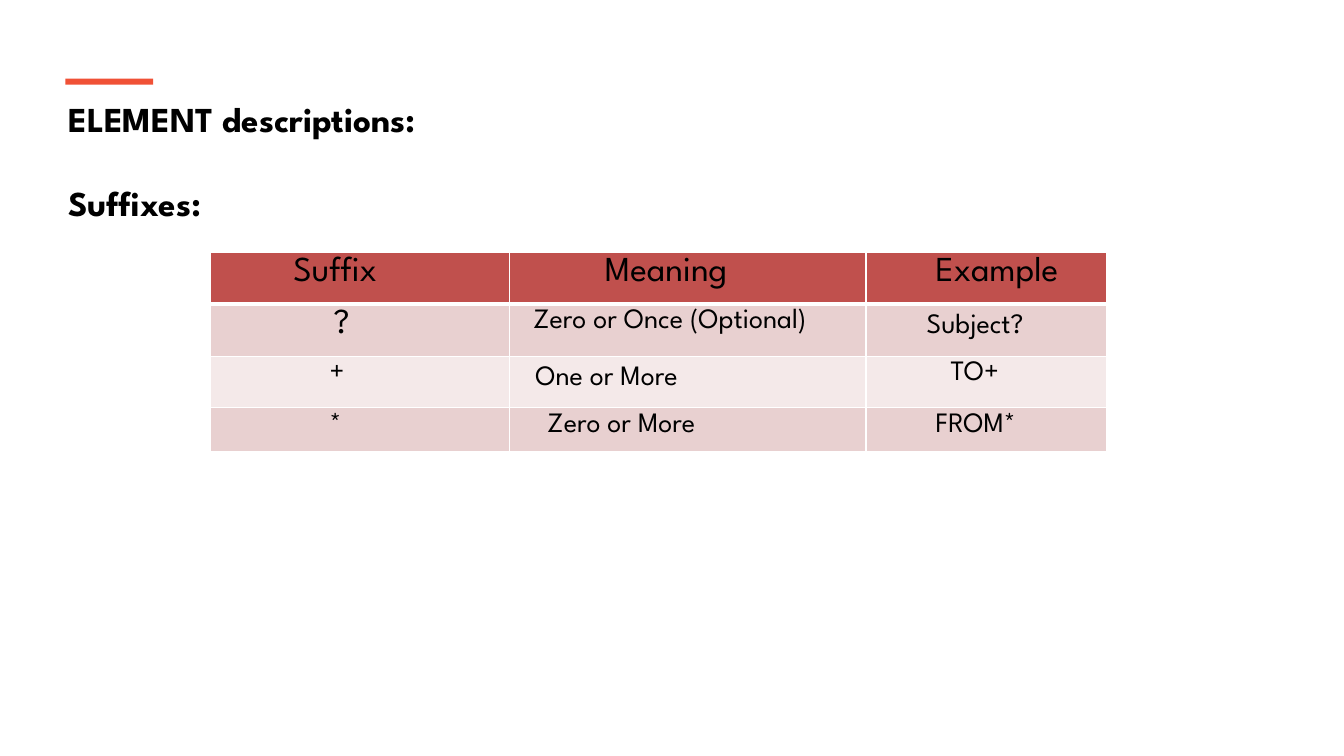
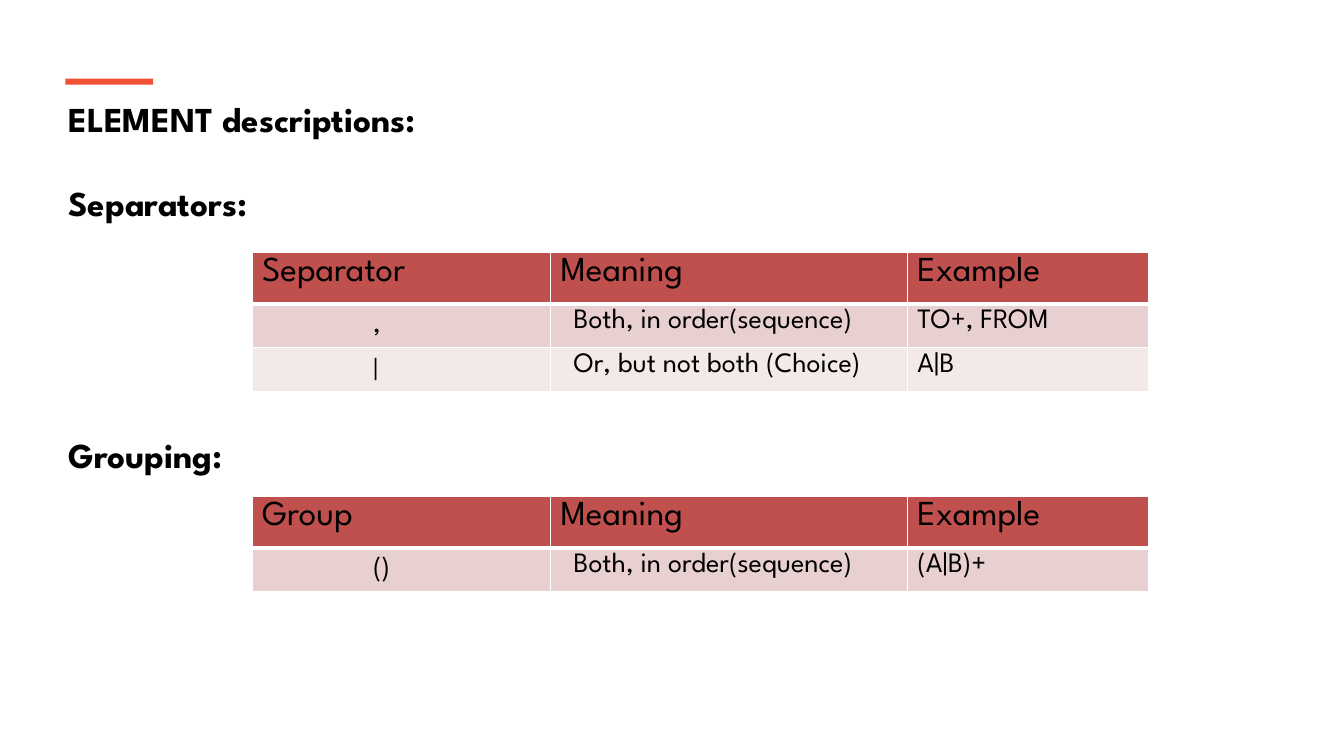
"""Build two slides on ELEMENT descriptions with suffix, separator and grouping tables."""
from collections import namedtuple

from lxml import etree
from pptx import Presentation
from pptx.dml.color import RGBColor
from pptx.enum.shapes import MSO_SHAPE
from pptx.oxml.ns import qn
from pptx.util import Inches, Pt

RECTANGLE = MSO_SHAPE.RECTANGLE
COLORS = {
    "text": "000000",
    "accent": "F05136",
    "header": "C0504D",
    "odd": "E8D0D0",
    "even": "F4E9E9",
    "border": "FFFFFF",
}
FONT = "League Spartan"
HEADING_SIZE, BODY_SIZE = 25, 20
TITLE = "ELEMENT descriptions:"
TITLE_TOP, SUBTITLE_TOP, GROUPING_TOP = 0.92, 1.75, 4.25
COLUMN_WIDTHS = (2.96, 3.54, 2.39)
TALL_ROW, SHORT_ROW = 0.51, 0.43
SIDE_MARGIN, EDGE_MARGIN = 0.1, 0.05
THIN, THICK = 1, 3

Entry = namedtuple("Entry", "text indent drop size font", defaults=(0, 0, BODY_SIZE, FONT))
Section = namedtuple("Section", "heading heading_top left top row_heights header rows")

SLIDES = [
    [
        Section(
            "Suffixes:", SUBTITLE_TOP, 2.09, 2.5,
            (TALL_ROW, TALL_ROW, TALL_ROW, SHORT_ROW),
            [("Suffix", 0.72), ("Meaning", 0.85), ("Example", 0.59)],
            [
                [Entry("?", 1.12, size=HEADING_SIZE), Entry("Zero or Once (Optional)", 0.14),
                 Entry("Subject?", 0.5, 0.05)],
                [Entry("+", 1.08), Entry("One or More", 0.16, 0.05), Entry("TO+", 0.74)],
                [Entry("*", 1.08), Entry("Zero or More", 0.28), Entry("FROM*", 0.59)],
            ],
        ),
    ],
    [
        Section(
            "Separators:", SUBTITLE_TOP, 2.5, 2.5,
            (TALL_ROW, SHORT_ROW, SHORT_ROW),
            [("Separator", 0), ("Meaning", 0), ("Example", 0)],
            [
                [Entry(",", 1.1, 0.04), Entry("Both, in order(sequence)", 0.13), Entry("TO+, FROM")],
                [Entry("|", 1.07, size=18, font="Calibri"), Entry("Or, but not both (Choice)", 0.13),
                 Entry("A|B")],
            ],
        ),
        Section(
            "Grouping:", GROUPING_TOP, 2.5, 4.92,
            (TALL_ROW, SHORT_ROW),
            [("Group", 0), ("Meaning", 0), ("Example", 0)],
            [
                [Entry("()", 1.1, 0.04), Entry("Both, in order(sequence)", 0.13), Entry("(A|B)+")],
            ],
        ),
    ],
]


def color(name):
    return RGBColor.from_string(COLORS[name])


def style_text(frame, size, font=FONT, bold=False):
    for span in frame.paragraphs[0].runs:
        span.font.name = font
        span.font.size = Pt(size)
        span.font.bold = bold
        span.font.color.rgb = color("text")


def add_heading(page, text, top):
    box = page.shapes.add_textbox(Inches(0.58), Inches(top), Inches(12.09), Inches(0.52))
    box.text_frame.word_wrap = True
    box.text_frame.text = text
    style_text(box.text_frame, HEADING_SIZE, bold=True)


def add_accent(page):
    bar = page.shapes.add_shape(RECTANGLE, Inches(0.65), Inches(0.78), Inches(0.87), Inches(0.06))
    bar.shadow.inherit = False
    bar.fill.solid()
    bar.fill.fore_color.rgb = color("accent")
    bar.line.fill.background()


def set_borders(cell, top, bottom):
    properties = cell._tc.get_or_add_tcPr()
    for side, width in (("L", THIN), ("R", THIN), ("T", top), ("B", bottom)):
        line = etree.SubElement(properties, qn(f"a:ln{side}"), w=str(Pt(width)))
        fill = etree.SubElement(line, qn("a:solidFill"))
        etree.SubElement(fill, qn("a:srgbClr"), val=COLORS["border"])


def fill_cell(cell, entry, row_index):
    set_borders(cell, THICK if row_index == 1 else THIN, THICK if row_index == 0 else THIN)
    shade = "header" if row_index == 0 else "odd" if row_index % 2 else "even"
    cell.fill.solid()
    cell.fill.fore_color.rgb = color(shade)
    cell.margin_left = Inches(SIDE_MARGIN + entry.indent)
    cell.margin_right = Inches(SIDE_MARGIN)
    cell.margin_top = Inches(EDGE_MARGIN + entry.drop)
    cell.margin_bottom = Inches(EDGE_MARGIN - entry.drop)
    cell.text_frame.text = entry.text
    style_text(cell.text_frame, entry.size, entry.font)


def add_section(page, section):
    add_heading(page, section.heading, section.heading_top)
    header = [Entry(text, indent, size=HEADING_SIZE) for text, indent in section.header]
    rows = [header] + section.rows
    table = page.shapes.add_table(
        len(rows), len(COLUMN_WIDTHS), Inches(section.left), Inches(section.top),
        Inches(sum(COLUMN_WIDTHS)), Inches(sum(section.row_heights)),
    ).table
    table.horz_banding = False
    for column, width in zip(table.columns, COLUMN_WIDTHS):
        column.width = Inches(width)
    for row_index, (entries, height) in enumerate(zip(rows, section.row_heights)):
        table.rows[row_index].height = Inches(height)
        for column_index, entry in enumerate(entries):
            fill_cell(table.cell(row_index, column_index), entry, row_index)


def main():
    deck = Presentation()
    deck.slide_width, deck.slide_height = Inches(13.33), Inches(7.5)
    for sections in SLIDES:
        page = deck.slides.add_slide(deck.slide_layouts[6])
        add_heading(page, TITLE, TITLE_TOP)
        add_accent(page)
        for section in sections:
            add_section(page, section)
    deck.save("out.pptx")


if __name__ == "__main__":
    main()
